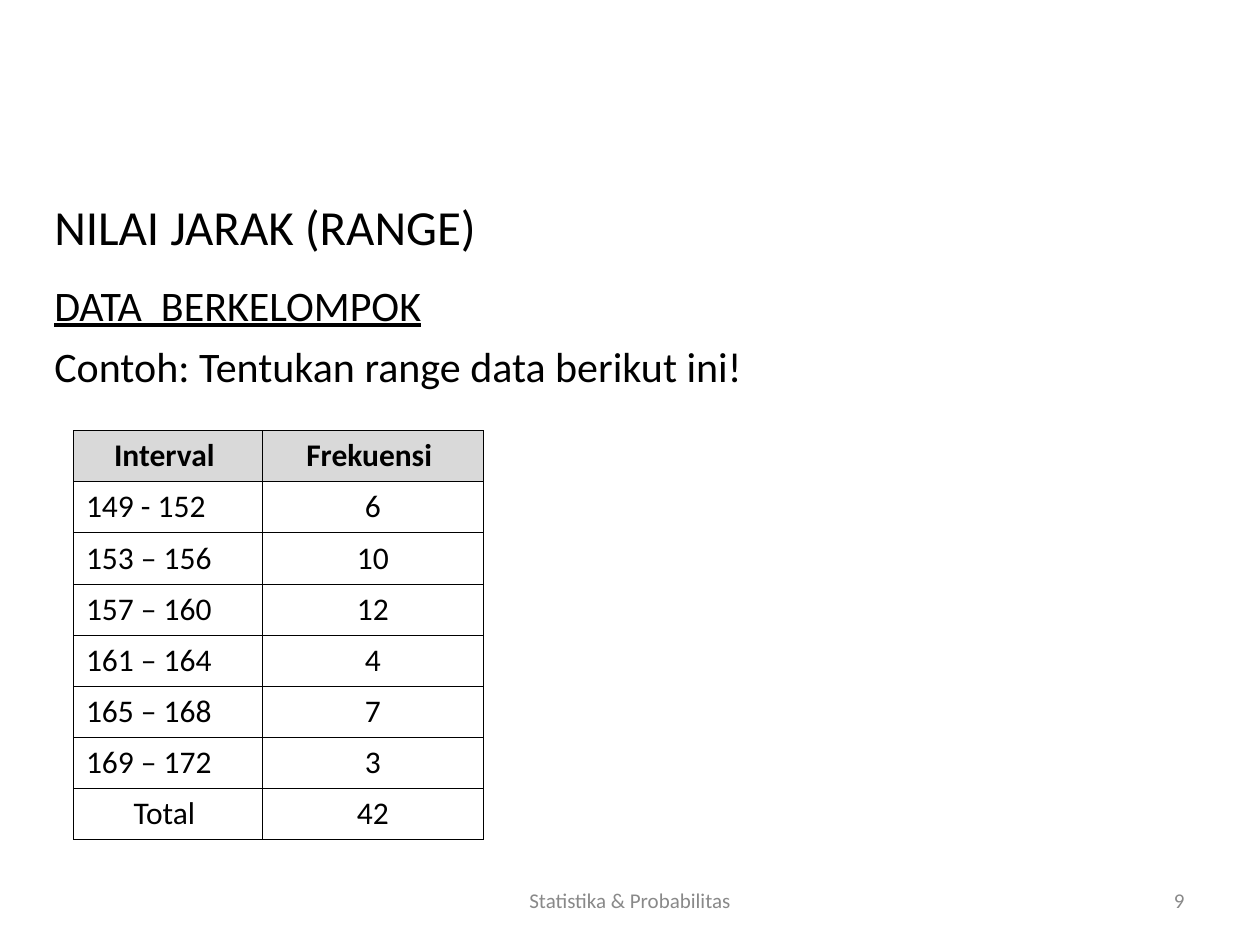
from lxml.etree import SubElement
from pptx import Presentation
from pptx.dml.color import RGBColor
from pptx.enum.text import MSO_ANCHOR as Anchor, MSO_AUTO_SIZE as AutoSize, PP_ALIGN as Align
from pptx.oxml import parse_xml
from pptx.oxml.ns import nsdecls, qn
from pptx.util import Cm, Pt


def rgb(value):
    """Turn a hex string into a colour."""
    return RGBColor.from_string(value)


class Deck:
    """Hold the style and the current slide."""
    font = "Calibri"
    ink, muted, head = "000000", "898989", "D9D9D9"

    def __init__(self, prs):
        """Start a title and content slide."""
        self.s = prs.slides.add_slide(prs.slide_layouts[1])

    def run(self, p, text, size, color=ink, bold=False, underline=False):
        """Add one styled run to a paragraph."""
        r = p.add_run()
        r.text = text
        f = r.font
        f.name, f.size, f.bold, f.underline = self.font, Pt(size), bold, underline
        f.color.rgb = rgb(color)

    def place(self, sp, box, anchor):
        """Move a text shape and return its frame."""
        sp.left, sp.top, sp.width, sp.height = map(Cm, box)
        tf = sp.text_frame
        tf.word_wrap, tf.auto_size, tf.vertical_anchor = True, AutoSize.NONE, anchor
        return tf

    def title(self, text, box):
        """Fill the title placeholder."""
        p = self.place(self.s.shapes.title, box, Anchor.MIDDLE).paragraphs[0]
        p.alignment = Align.LEFT
        self.run(p, text, 28)

    def body(self, lines, box):
        """Fill the body placeholder with unbulleted lines."""
        tf = self.place(self.s.placeholders[1], box, Anchor.TOP)
        for i, (text, align, underline) in enumerate(lines):
            p = tf.add_paragraph() if i else tf.paragraphs[0]
            p.alignment, p.space_before = align, Pt(6)
            pPr = p._p.get_or_add_pPr()
            pPr.set("marL", "0")
            pPr.set("indent", "0")
            SubElement(pPr, qn("a:buNone"))
            self.run(p, text, 24, underline=underline)

    def label(self, text, box, align):
        """Add a small grey text box."""
        sp = self.s.shapes.add_textbox(0, 0, 0, 0)
        p = self.place(sp, box, Anchor.MIDDLE).paragraphs[0]
        p.alignment = align
        self.run(p, text, 12, self.muted)

    def borders(self, cell):
        """Draw thin lines on all four sides of a cell."""
        tcPr = cell._tc.get_or_add_tcPr()
        for i, side in enumerate("LRTB"):
            tcPr.insert(i, parse_xml(
                f'<a:ln{side} {nsdecls("a")} w="{Pt(0.45)}"><a:solidFill>'
                f'<a:srgbClr val="{self.ink}"/></a:solidFill></a:ln{side}>'))

    def number(self, p, start):
        """Number a paragraph from a given start."""
        pPr = p._p.get_or_add_pPr()
        pPr.set("marL", str(Cm(0.95)))
        pPr.set("indent", str(-Cm(0.95)))
        SubElement(pPr, qn("a:buFontTx"))
        SubElement(pPr, qn("a:buAutoNum"), type="arabicPlain", startAt=str(start))

    def table(self, rows, left, top, widths, height):
        """Add a bordered table with a shaded heading row."""
        frame = self.s.shapes.add_table(len(rows), len(widths), Cm(left), Cm(top),
                                        Cm(sum(widths)), Cm(height * len(rows)))
        tbl = frame.table
        tbl.first_row = tbl.horz_banding = False
        for col, width in zip(tbl.columns, widths):
            col.width = Cm(width)
        for i, row in enumerate(rows):
            tbl.rows[i].height = Cm(height)
            for j, text in enumerate(row):
                cell = tbl.cell(i, j)
                if i == 0:
                    cell.fill.solid()
                    cell.fill.fore_color.rgb = rgb(self.head)
                else:
                    cell.fill.background()
                self.borders(cell)
                p = cell.text_frame.paragraphs[0]
                interval = j == 0 and 0 < i < len(rows) - 1
                p.alignment = Align.LEFT if interval else Align.CENTER
                self.run(p, text, 18, bold=i == 0)
        return tbl


def main():
    """Build the slide."""
    prs = Presentation()
    prs.slide_width, prs.slide_height = Cm(25.4), Cm(19.05)
    deck = Deck(prs)
    deck.title("NILAI JARAK (RANGE)", (0.84, 2.96, 22.86, 3.18))
    deck.body([("DATA  BERKELOMPOK", Align.LEFT, True),
               ("Contoh: Tentukan range data berikut ini!", Align.JUSTIFY, False)],
              (0.84, 5.5, 24.13, 3.39))
    deck.label("9", (18.2, 17.65, 5.93, 1.01), Align.RIGHT)
    rows = [("Interval ", "Frekuensi "), (" - 152", "6"), ("153 – 156", "10"),
            ("157 – 160", "12"), ("161 – 164", "4"), ("165 – 168", "7"),
            ("169 – 172", "3"), ("Total ", "42")]
    tbl = deck.table(rows, 1.48, 8.68, (3.81, 4.45), 1.03)
    deck.number(tbl.cell(1, 0).text_frame.paragraphs[0], 149)
    deck.label("Statistika & Probabilitas", (8.68, 17.65, 8.04, 1.01), Align.CENTER)
    prs.save("out.pptx")


if __name__ == "__main__":
    main()
